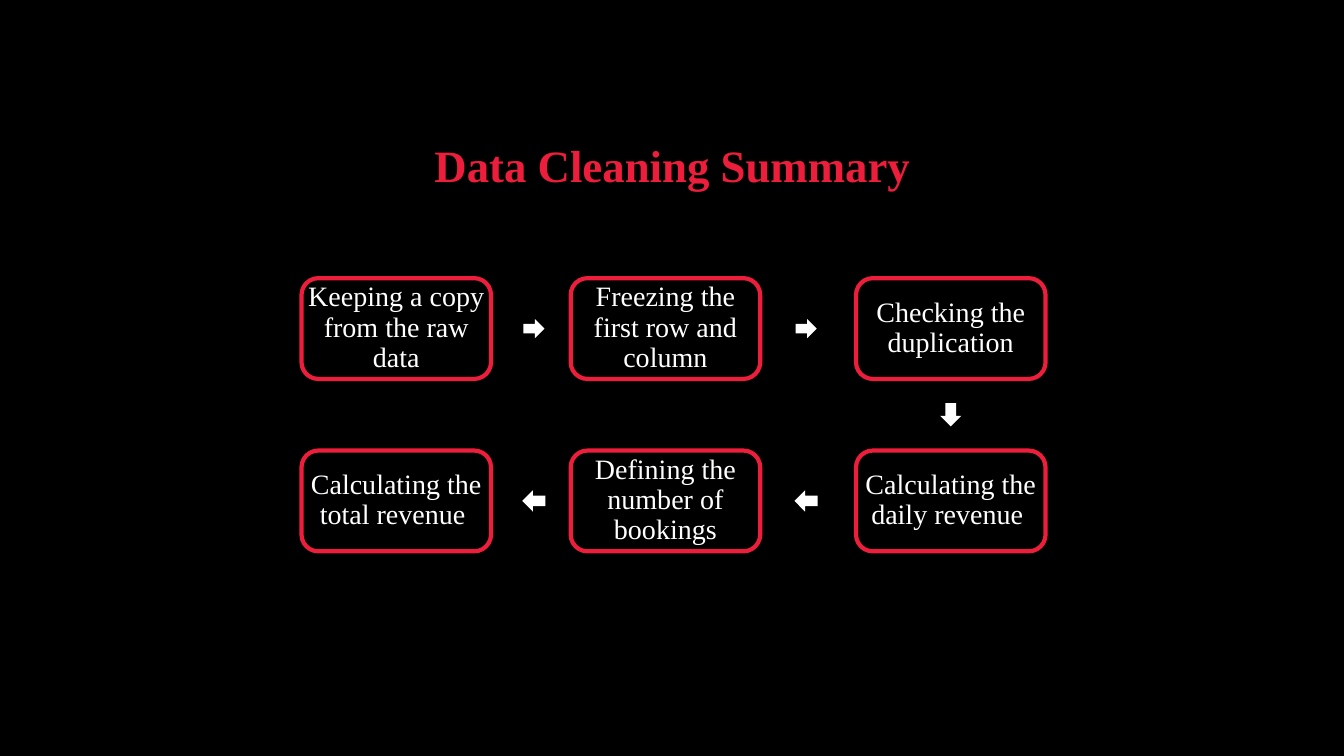
from pptx import Presentation
from pptx.dml.color import RGBColor
from pptx.enum.shapes import MSO_SHAPE
from pptx.enum.text import MSO_ANCHOR, MSO_AUTO_SIZE, PP_ALIGN
from pptx.util import Inches, Pt

BLACK = RGBColor(0x00, 0x00, 0x00)
WHITE = RGBColor(0xFF, 0xFF, 0xFF)
RED = RGBColor(0xED, 0x1E, 0x3B)
FONT = "Times New Roman"
ROUNDED = MSO_SHAPE.ROUNDED_RECTANGLE
RIGHT = MSO_SHAPE.RIGHT_ARROW
LEFT = MSO_SHAPE.LEFT_ARROW
MIDDLE = MSO_ANCHOR.MIDDLE
CENTER = PP_ALIGN.CENTER
GROW = MSO_AUTO_SIZE.SHAPE_TO_FIT_TEXT

COLUMNS = (2.99, 5.66, 8.49)
ROWS = (2.76, 4.47)
BOX_W, BOX_H = 1.88, 1
LABEL_W = 2
ARROW_CENTERS = (5.295, 7.995)
STEPS = (
    ("Keeping a copy from the raw data", 0, 0, 3),
    ("Freezing the first row and column", 1, 0, 3),
    ("Checking the duplication", 2, 0, 2),
    ("Calculating the daily revenue ", 2, 1, 2),
    ("Defining the number of bookings", 1, 1, 3),
    ("Calculating the total revenue ", 0, 1, 2),
)


def add_text(s, text, x, y, w, h, size, color, bold=False):
    """Add a centred, wrapping text box and return its text frame."""
    tf = s.shapes.add_textbox(Inches(x), Inches(y), Inches(w), Inches(h)).text_frame
    tf.word_wrap = True
    p = tf.paragraphs[0]
    p.alignment = CENTER
    p.line_spacing = 0.9
    p.space_before = Pt(10)
    r = p.add_run()
    r.text = text
    r.font.name = FONT
    r.font.size = Pt(size)
    r.font.bold = bold
    r.font.color.rgb = color
    return tf


def add_box(s, x, y):
    """Add the outlined frame of a step."""
    sp = s.shapes.add_shape(ROUNDED, Inches(x), Inches(y), Inches(BOX_W), Inches(BOX_H))
    sp.shadow.inherit = False
    sp.fill.background()
    sp.line.color.rgb = RED
    sp.line.width = Pt(3)


def add_step(s, text, column, row, lines):
    """Add a step frame with its label centred over it."""
    x, y = COLUMNS[column], ROWS[row]
    add_box(s, x, y)
    h = 0.11 + 0.3 * lines
    label_x = x + (BOX_W - LABEL_W) / 2
    label_y = y + (BOX_H - h) / 2
    add_text(s, text, label_x, label_y, LABEL_W, h, 20, WHITE).auto_size = GROW


def add_arrow(s, kind, cx, cy, w, h, rotation=0):
    """Add a white block arrow around a centre point."""
    sp = s.shapes.add_shape(kind, Inches(cx - w / 2), Inches(cy - h / 2), Inches(w), Inches(h))
    sp.shadow.inherit = False
    sp.fill.solid()
    sp.fill.fore_color.rgb = WHITE
    sp.line.fill.background()
    sp.rotation = rotation


def main():
    """Build the data cleaning slide."""
    prs = Presentation()
    prs.slide_width, prs.slide_height = Inches(13.33), Inches(7.5)
    s = prs.slides.add_slide(prs.slide_layouts[6])
    s.background.fill.solid()
    s.background.fill.fore_color.rgb = BLACK

    tf = add_text(s, "Data Cleaning Summary", 1.67, 0.76, 10, 1.81, 32, RED, True)
    tf.vertical_anchor = MIDDLE
    for step in STEPS:
        add_step(s, *step)
    top, bottom = (y + BOX_H / 2 for y in ROWS)
    for cx in ARROW_CENTERS:
        add_arrow(s, RIGHT, cx, top, 0.21, 0.19)
        add_arrow(s, LEFT, cx, bottom, 0.23, 0.21)
    add_arrow(s, LEFT, COLUMNS[2] + BOX_W / 2, (top + bottom) / 2, 0.23, 0.21, 270)

    prs.save("out.pptx")


main()
